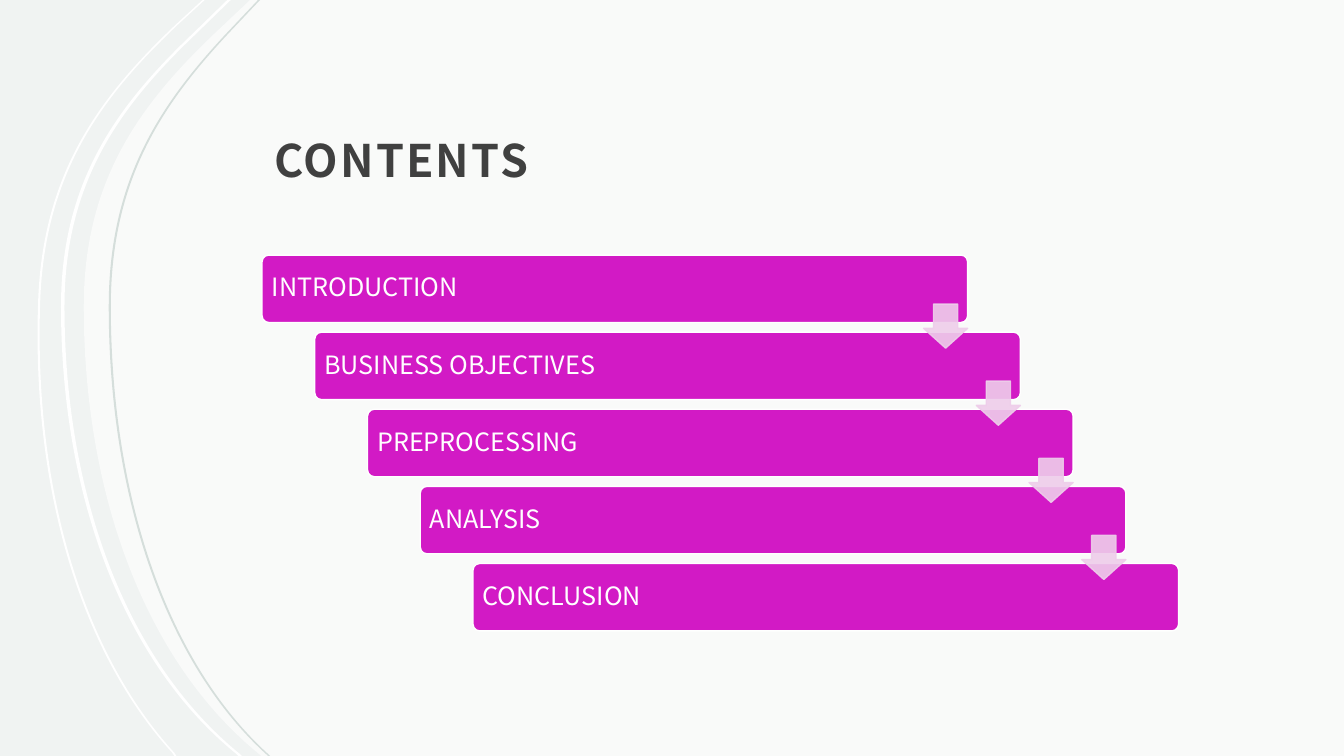
import dataclasses

import lxml.etree
import pptx
import pptx.dml.color
import pptx.enum.shapes
import pptx.enum.text
import pptx.oxml.ns
import pptx.util


@dataclasses.dataclass(frozen=True)
class Theme:
    """Colours and type sizes of the deck."""
    font: str = "Noto Sans CJK JP"
    background: str = "F0F3F2"
    white: str = "FFFFFF"
    hairline: str = "D5DEDB"
    title: str = "404040"
    bar: str = "D21AC5"
    arrow: str = "EECDEA"
    title_size: float = 32
    bar_size: float = 18


THEME = Theme()
WIDTH, HEIGHT = 960, 540
TOPICS = ["INTRODUCTION", "BUSINESS OBJECTIVES", "PREPROCESSING", "ANALYSIS", "CONCLUSION"]
PANEL_EDGE = [(178.6, 0), (151.9, 25.2), (100.1, 74.9), (59.8, 128.9), (59.8, 218.9),
              (59.8, 354.2), (104.4, 473), (185, 538.6), (186.5, 540)]
BANDS = [
    ([(146.2, 0), (127.4, 17.3), (74.9, 67), (32.4, 121), (28.8, 213.8),
      (23.8, 345.6), (57.6, 464.4), (124.6, 537.8), (126, 540)], 1.5, THEME.white),
    ([(164.9, 0), (139, 25.2), (87.1, 74.9), (46.1, 128.9), (46.1, 218.9),
      (46.1, 354.2), (90.7, 473), (171.4, 538.6), (172.8, 540)], 2.5, THEME.white),
    ([(185.8, 0), (162, 25.2), (115.9, 74.9), (79.2, 128.9), (79.2, 218.9),
      (79.2, 354.2), (119.5, 473), (191.5, 538.6), (193, 540)], 1.5, THEME.hairline),
]


def set_opacity(fill_parent, percent):
    """Make the solid fill inside an element partly transparent."""
    colour = fill_parent.find(".//" + pptx.oxml.ns.qn("a:srgbClr"))
    lxml.etree.SubElement(colour, pptx.oxml.ns.qn("a:alpha"), val=str(percent * 1000))


def paint(shape, fill, line=None, opacity=100):
    """Give a shape its fill, outline and opacity, without a shadow."""
    shape.shadow.inherit = False
    shape.fill.solid()
    shape.fill.fore_color.rgb = pptx.dml.color.RGBColor.from_string(fill)
    if line:
        shape.line.color.rgb = pptx.dml.color.RGBColor.from_string(line)
        shape.line.width = pptx.util.Pt(1)
    else:
        shape.line.fill.background()
    if opacity < 100:
        properties = shape.fill._xPr
        set_opacity(properties.find(pptx.oxml.ns.qn("a:solidFill")), opacity)
        if line:
            set_opacity(properties.find(pptx.oxml.ns.qn("a:ln")), opacity)


def write_text(shape, text, *, size, colour, anchor, insets, bold=False,
               line_spacing=1.0, tracking=0):
    """Write one left-aligned paragraph into a shape."""
    frame = shape.text_frame
    frame.word_wrap = True
    frame.vertical_anchor = anchor
    frame.margin_left, frame.margin_top, frame.margin_right, frame.margin_bottom = map(
        pptx.util.Pt, insets)
    paragraph = frame.paragraphs[0]
    paragraph.alignment = pptx.enum.text.PP_ALIGN.LEFT
    paragraph.line_spacing = line_spacing
    run = paragraph.add_run()
    run.text = text
    run.font.name = THEME.font
    run.font.size = pptx.util.Pt(size)
    run.font.bold = bold
    run.font.color.rgb = pptx.dml.color.RGBColor.from_string(colour)
    if tracking:
        run.font._element.set("spc", str(round(tracking * 100)))


def edge_steps(edge):
    """Split an edge into straight steps of one point and curves of three."""
    return [edge[:1], edge[1:2], edge[2:5], edge[5:8], edge[8:]]


def add_outline(slide, steps, box):
    """Draw a closed outline of straight and curved steps inside the box."""
    left, top = box[:2]
    steps = [[(pptx.util.Pt(left + x), pptx.util.Pt(top + y)) for x, y in step]
             for step in steps]
    builder = slide.shapes.build_freeform(*steps[0][-1], scale=1.0)
    builder.add_line_segments([step[-1] for step in steps[1:]], close=True)
    shape = builder.convert_to_shape()
    qualify = pptx.oxml.ns.qn
    lines = list(shape._element.iter(qualify("a:lnTo")))
    for line, step in zip(lines, steps[1:]):
        if len(step) == 3:
            curve = lxml.etree.Element(qualify("a:cubicBezTo"))
            for x, y in step:
                lxml.etree.SubElement(curve, qualify("a:pt"),
                                      x=str(x - shape.left), y=str(y - shape.top))
            line.getparent().replace(line, curve)
    return shape


def add_backdrop(slide, box):
    """Draw the pale panel and the curved bands at its left."""
    width, height = box[2:]
    panel = [*edge_steps(PANEL_EDGE), [(width, height)], [(width, 0)]]
    paint(add_outline(slide, panel, box), THEME.white, opacity=60)
    for right, thickness, colour in BANDS:
        left = [(x - thickness, y) for x, y in reversed(right)]
        band = edge_steps(right) + edge_steps(left)
        paint(add_outline(slide, band, box), colour)


def add_title(slide, text, box):
    """Place the slide title at the foot of its box."""
    title = slide.shapes.add_textbox(*map(pptx.util.Pt, box))
    write_text(title, text, size=THEME.title_size, colour=THEME.title, bold=True,
               anchor=pptx.enum.text.MSO_ANCHOR.BOTTOM, insets=(8.6, 8.6, 8.6, 7.2),
               line_spacing=1.3, tracking=1.5)


def add_staircase(slide, topics, box):
    """Step the topic bars down the box and link them with arrows."""
    left, top, width, height = box
    bar_width, bar_height, arrow_size, arrow_drop = 504, 48.2, 31.5, 35
    steps = len(topics) - 1
    step_x = (width - bar_width) / steps
    step_y = (height - bar_height) / steps
    kinds = pptx.enum.shapes.MSO_SHAPE
    for index, topic in enumerate(topics):
        bar = slide.shapes.add_shape(kinds.ROUNDED_RECTANGLE, *map(pptx.util.Pt, (
            left + index * step_x, top + index * step_y, bar_width, bar_height)))
        bar.adjustments[0] = 0.1
        paint(bar, THEME.bar, line=THEME.white)
        write_text(bar, topic, size=THEME.bar_size, colour=THEME.white,
                   anchor=pptx.enum.text.MSO_ANCHOR.MIDDLE, insets=(5.5, 5, 5, 5),
                   line_spacing=0.9)
    for index in range(steps):
        arrow = slide.shapes.add_shape(kinds.DOWN_ARROW, *map(pptx.util.Pt, (
            left + index * step_x + bar_width - arrow_size,
            top + index * step_y + arrow_drop, arrow_size, arrow_size)))
        arrow.adjustments[0] = 0.55
        arrow.adjustments[1] = 0.45
        paint(arrow, THEME.arrow, line=THEME.arrow, opacity=90)


def main():
    """Build the contents slide and save it."""
    presentation = pptx.Presentation()
    presentation.slide_width = pptx.util.Pt(WIDTH)
    presentation.slide_height = pptx.util.Pt(HEIGHT)
    slide = presentation.slides.add_slide(presentation.slide_layouts[6])
    slide.background.fill.solid()
    slide.background.fill.fore_color.rgb = pptx.dml.color.RGBColor.from_string(
        THEME.background)
    add_backdrop(slide, (0, 0, WIDTH, HEIGHT))
    add_title(slide, "CONTENTS", (187.2, 34.5, 661, 106))
    add_staircase(slide, TOPICS, (187.2, 182.2, 654.7, 268.5))
    presentation.save("out.pptx")


if __name__ == "__main__":
    main()
